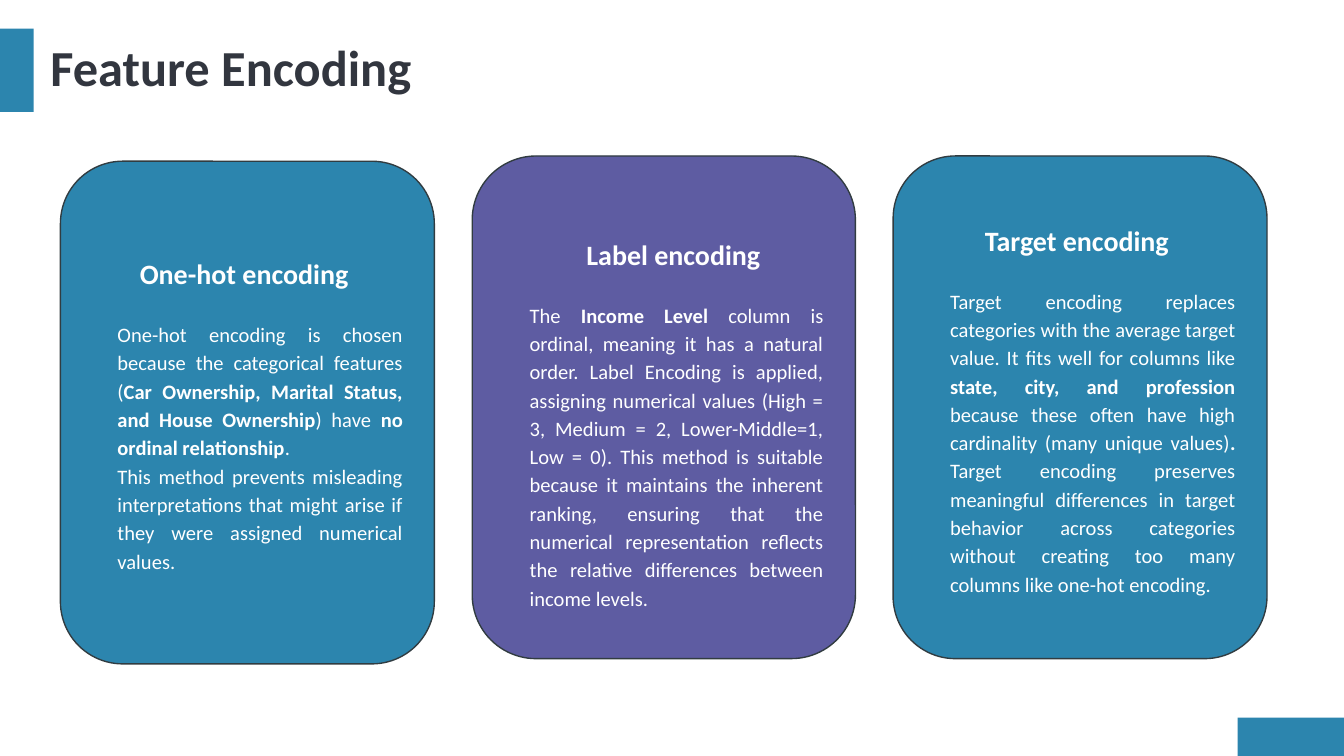
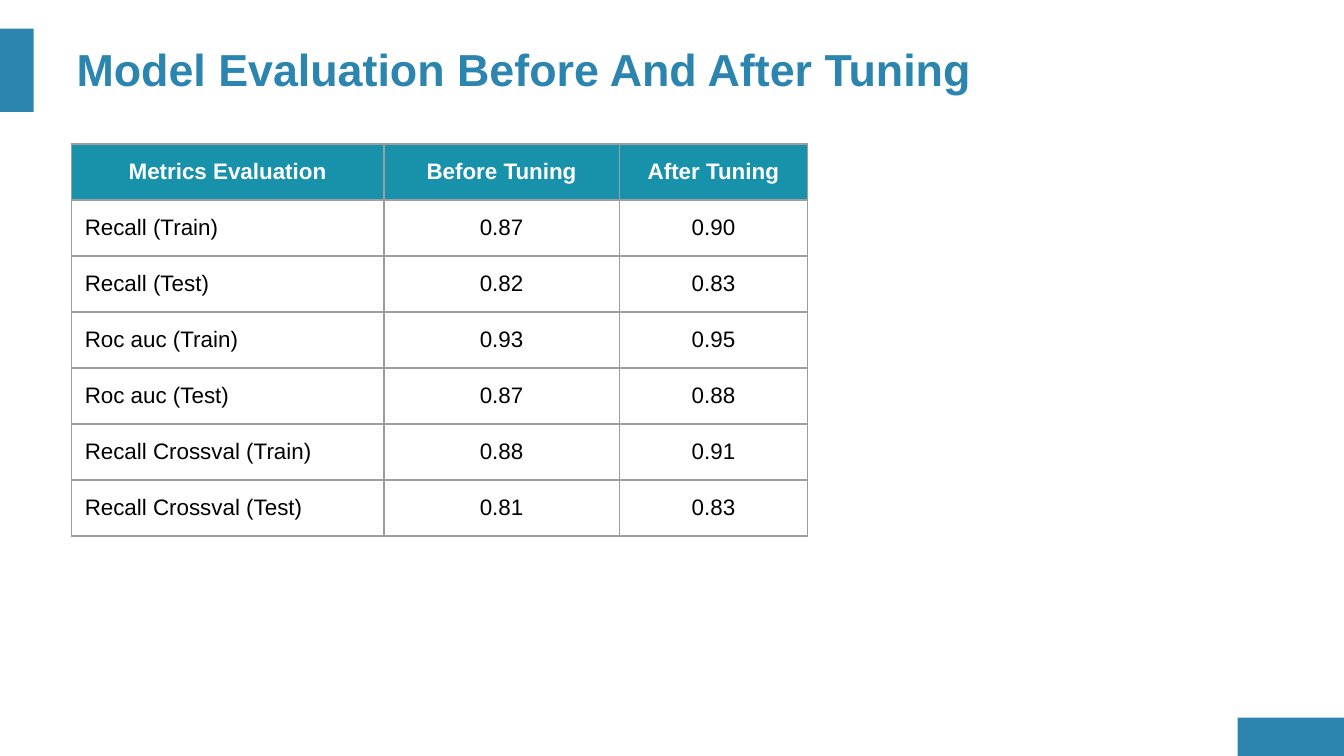
from lxml.etree import SubElement
from pptx import Presentation
from pptx.dml.color import RGBColor
from pptx.enum.shapes import MSO_SHAPE
from pptx.enum.text import MSO_ANCHOR, MSO_AUTO_SIZE, PP_ALIGN
from pptx.oxml.ns import qn
from pptx.util import Pt

BLUE = RGBColor(0x2C, 0x85, 0xAE)
PURPLE = RGBColor(0x5E, 0x5C, 0xA2)
TEAL = RGBColor(0x18, 0x91, 0xAB)
DARK = RGBColor(0x32, 0x36, 0x3F)
OUTLINE = RGBColor(0x31, 0x3C, 0x41)
GRAY = RGBColor(0x9E, 0x9E, 0x9E)
WHITE = RGBColor(0xFF, 0xFF, 0xFF)
BLACK = RGBColor(0, 0, 0)

SLIDE_WIDTH, SLIDE_HEIGHT = 720, 405
TITLE_ONLY = 5
INSET = 7.2
INDENT = 13.7
CARD_LEFT, CARD_HEIGHT, CARD_GAP = 32.4, 269.3, 20.25
BODY_GAP = 15

# Cards: top, width, fill, heading, heading indent, extra top inset, body.
# Asterisks enclose the bold parts of the body.
CARDS = [
    (86.4, 200.3, BLUE, "One-hot encoding ", 0, 0, [
        "One-hot encoding is chosen because the categorical features "
        "(*Car Ownership, Marital Status, and House Ownership*) have "
        "*no ordinal relationship*.",
        "This method prevents misleading interpretations that might arise "
        "if they were assigned numerical values."]),
    (83.6, 205.3, PURPLE, "Label encoding ", INDENT, BODY_GAP, [
        "The *Income Level *column is ordinal, meaning it has a natural "
        "order. Label Encoding is applied, assigning numerical values "
        "(High = 3, Medium = 2, Lower-Middle=1, Low = 0). This method is "
        "suitable because it maintains the inherent ranking, ensuring that "
        "the numerical representation reflects the relative differences "
        "between income levels."]),
    (83.6, 200.3, BLUE, "Target encoding ", 0, 0, [
        "Target encoding replaces categories with the average target value. "
        "It fits well for columns like *state, city, and profession* because "
        "these often have high cardinality (many unique values)*.* Target "
        "encoding preserves meaningful differences in target behavior across "
        "categories without creating too many columns like one-hot encoding."]),
]

METRICS = [
    ("Metrics Evaluation", "Before Tuning", "After Tuning"),
    ("Recall (Train)", "0.87", "0.90"),
    ("Recall (Test)", "0.82", "0.83"),
    ("Roc auc (Train)", "0.93", "0.95"),
    ("Roc auc (Test)", "0.87", "0.88"),
    ("Recall Crossval (Train)", "0.88", "0.91"),
    ("Recall Crossval (Test)", "0.81", "0.83"),
]
COLUMN_WIDTHS = (167.5, 126, 101)
ROW_HEIGHT = 30


def format_font(font, name, size, color, bold):
    font.name = name
    font.size = Pt(size)
    font.bold = bold
    font.color.rgb = color


def set_margins(frame, across, down):
    frame.margin_left = frame.margin_right = Pt(across)
    frame.margin_top = frame.margin_bottom = Pt(down)


def add_block(page, kind, left, top, width, height, fill):
    block = page.shapes.add_shape(kind, Pt(left), Pt(top), Pt(width), Pt(height))
    block.shadow.inherit = False
    block.fill.solid()
    block.fill.fore_color.rgb = fill
    block.line.fill.background()
    return block


def add_page(deck, title, left, width, font_name, size, color):
    """Add a slide with the shared bands and its title."""
    page = deck.slides.add_slide(deck.slide_layouts[TITLE_ONLY])
    add_block(page, MSO_SHAPE.RECTANGLE, 663, 384.5, 57, 20.5, BLUE)
    add_block(page, MSO_SHAPE.RECTANGLE, 0, 15.4, 18, 44.6, BLUE)
    box = page.shapes.title
    box.left, box.top, box.width, box.height = Pt(left), Pt(15.2), Pt(width), Pt(45)
    frame = box.text_frame
    frame.text = title
    frame.word_wrap = True
    frame.auto_size = MSO_AUTO_SIZE.NONE
    frame.vertical_anchor = MSO_ANCHOR.MIDDLE
    para = frame.paragraphs[0]
    para.alignment = PP_ALIGN.LEFT
    format_font(para.runs[0].font, font_name, size, color, True)
    return page


def format_paragraph(para, alignment, indent):
    para.alignment = alignment
    para.line_spacing = 1.15
    para._p.get_or_add_pPr().set("marL", str(Pt(indent)))


def add_card(page, left, top, width, fill, heading, heading_indent, extra_top, body):
    card = add_block(page, MSO_SHAPE.ROUNDED_RECTANGLE, left, top, width, CARD_HEIGHT, fill)
    card.line.color.rgb = OUTLINE
    card.line.width = Pt(0.75)
    frame = card.text_frame
    frame.word_wrap = True
    frame.vertical_anchor = MSO_ANCHOR.MIDDLE
    set_margins(frame, INSET, INSET)
    frame.margin_top = Pt(INSET + extra_top)

    frame.text = heading
    para = frame.paragraphs[0]
    format_paragraph(para, PP_ALIGN.CENTER, heading_indent)
    format_font(para.runs[0].font, "Calibri", 15, WHITE, True)

    for number, text in enumerate(body):
        para = frame.add_paragraph()
        format_paragraph(para, PP_ALIGN.JUSTIFY, INDENT)
        para.space_before = Pt(0 if number else BODY_GAP)
        for part, words in enumerate(text.split("*")):
            span = para.add_run()
            span.text = words
            format_font(span.font, "Calibri", 11, WHITE, part % 2 == 1)


def add_borders(cell):
    properties = cell._tc.get_or_add_tcPr()
    for side in ("a:lnL", "a:lnR", "a:lnT", "a:lnB"):
        line = SubElement(properties, qn(side), w=str(Pt(0.75)))
        fill = SubElement(line, qn("a:solidFill"))
        SubElement(fill, qn("a:srgbClr"), val=str(GRAY))


def fill_cell(cell, text, header, centered):
    add_borders(cell)
    if header:
        cell.fill.solid()
        cell.fill.fore_color.rgb = TEAL
    else:
        cell.fill.background()
    set_margins(cell, INSET, INSET)
    cell.vertical_anchor = MSO_ANCHOR.MIDDLE
    cell.text_frame.text = text
    para = cell.text_frame.paragraphs[0]
    para.alignment = PP_ALIGN.CENTER if centered else PP_ALIGN.LEFT
    format_font(para.runs[0].font, "Arial", 12, WHITE if header else BLACK, header)


def add_metrics_table(page, left, top):
    frame = page.shapes.add_table(
        len(METRICS), len(COLUMN_WIDTHS), Pt(left), Pt(top),
        Pt(sum(COLUMN_WIDTHS)), Pt(ROW_HEIGHT * len(METRICS)))
    table = frame.table
    table.first_row = table.horz_banding = False
    for column, width in zip(table.columns, COLUMN_WIDTHS):
        column.width = Pt(width)
    for row_index, values in enumerate(METRICS):
        table.rows[row_index].height = Pt(ROW_HEIGHT)
        for column_index, text in enumerate(values):
            header = row_index == 0
            fill_cell(table.cell(row_index, column_index), text,
                      header, header or column_index > 0)


def main():
    deck = Presentation()
    deck.slide_width, deck.slide_height = Pt(SLIDE_WIDTH), Pt(SLIDE_HEIGHT)

    # Feature encoding: three cards at equal gaps
    page = add_page(deck, "Feature Encoding", 21.6, 680.4, "Calibri", 27, DARK)
    frame = page.shapes.title.text_frame
    set_margins(frame, 5.4, 2.7)
    frame.paragraphs[0].line_spacing = 0.9
    left = CARD_LEFT
    for top, width, *content in CARDS:
        add_card(page, left, top, width, *content)
        left += width + CARD_GAP

    # Model evaluation: table of metrics
    page = add_page(deck, "Model Evaluation Before And After Tuning",
                    33.8, 589, "Arial", 24, BLUE)
    frame = page.shapes.title.text_frame
    set_margins(frame, INSET, INSET)
    frame.vertical_anchor = MSO_ANCHOR.TOP
    add_metrics_table(page, 38.2, 77.2)

    deck.save("out.pptx")


if __name__ == "__main__":
    main()
